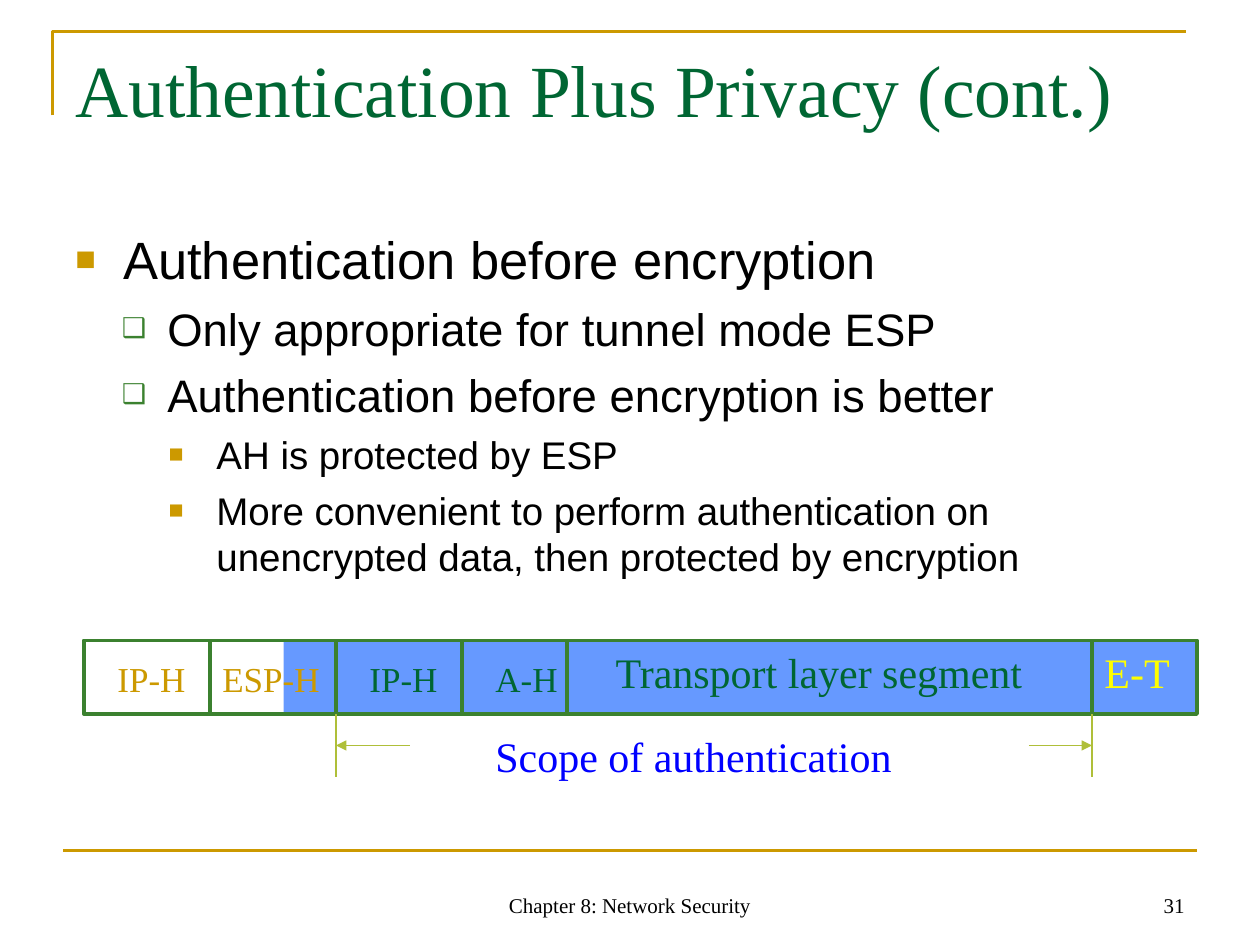
from lxml.etree import SubElement
from pptx import Presentation
from pptx.dml.color import RGBColor
from pptx.enum.shapes import MSO_CONNECTOR, MSO_SHAPE
from pptx.enum.text import MSO_ANCHOR, PP_ALIGN
from pptx.oxml.ns import qn
from pptx.util import Inches, Pt

GOLD = RGBColor(0xCC, 0x99, 0x00)
DARK_GREEN = RGBColor(0x00, 0x66, 0x33)
GREEN = RGBColor(0x3B, 0x81, 0x2F)
LIME = RGBColor(0xAF, 0xBF, 0x39)
SKY = RGBColor(0x66, 0x99, 0xFF)
BLUE = RGBColor(0x00, 0x00, 0xFF)
YELLOW = RGBColor(0xFF, 0xFF, 0x00)
BLACK = RGBColor(0x00, 0x00, 0x00)

COLUMNS, ROWS = 120, 90
SLIDE_WIDTH, SLIDE_HEIGHT = Inches(10), Inches(7.5)
PACKET_ROW, PACKET_ROWS = 61, 7
PACKET_EDGES = [8, 20, 32, 44, 54, 104, 114]
SCOPE_START, SCOPE_END = PACKET_EDGES[2], PACKET_EDGES[5]

LEVELS = [
    {"margin": 0.38, "indent": -0.38, "before": 7.5, "size": 30, "bullet": "■", "color": GOLD, "scale": 65},
    {"margin": 0.73, "indent": -0.36, "before": 6.5, "size": 26, "bullet": "❑", "color": GREEN, "scale": 60},
    {"margin": 1.12, "indent": -0.38, "before": 5.5, "size": 22, "bullet": "■", "color": GOLD, "scale": 65},
]
POINTS = [
    (0, "Authentication before encryption"),
    (1, "Only appropriate for tunnel mode ESP"),
    (1, "Authentication before encryption is better"),
    (2, "AH is protected by ESP"),
    (2, "More convenient to perform authentication on unencrypted data, then protected by encryption"),
]
LABELS = [
    ("IP-H", (10, 62, 9.5, 5.3), 20, GOLD, {}),
    ("ESP-H", (20, 62, 13, 5.3), 20, GOLD, {}),
    ("IP-H", (34, 62, 9.5, 5.3), 20, DARK_GREEN, {}),
    ("A-H", (46, 62, 9, 5.3), 20, DARK_GREEN, {}),
    ("Transport layer segment", (54, 61, 48, 6), 24, DARK_GREEN,
     {"alignment": PP_ALIGN.CENTER, "wrap": True}),
    ("E-T", (104, 61, 9.5, 6), 24, YELLOW, {}),
    ("Scope of authentication", (46, 69, 42, 6), 24, BLUE, {}),
]


def across(columns):
    return round(SLIDE_WIDTH * columns / COLUMNS)


def down(rows):
    return round(SLIDE_HEIGHT * rows / ROWS)


def place(column, row, columns, rows):
    return across(column), down(row), across(columns), down(rows)


def set_attributes(target, values):
    for name, value in values.items():
        setattr(target, name, value)


def set_font(paragraph, name, size, color):
    set_attributes(paragraph.font, {"name": name, "size": Pt(size)})
    paragraph.font.color.rgb = color


def set_line(line, color, width):
    line.color.rgb = color
    line.width = Pt(width)


def add_text(slide, text, area, size, color, alignment=PP_ALIGN.LEFT,
             wrap=False, anchor=MSO_ANCHOR.TOP):
    frame = slide.shapes.add_textbox(*place(*area)).text_frame
    set_attributes(frame, {"word_wrap": wrap, "vertical_anchor": anchor})
    paragraph = frame.paragraphs[0]
    set_attributes(paragraph, {"text": text, "alignment": alignment})
    set_font(paragraph, "Times New Roman", size, color)


def add_bullet(paragraph, level):
    properties = paragraph._p.get_or_add_pPr()
    properties.set("marL", str(Inches(level["margin"])))
    properties.set("indent", str(Inches(level["indent"])))
    color = SubElement(properties, qn("a:buClr"))
    SubElement(color, qn("a:srgbClr"), val=str(level["color"]))
    SubElement(properties, qn("a:buSzPct"), val=str(level["scale"] * 1000))
    SubElement(properties, qn("a:buFont"), typeface="Arial")
    SubElement(properties, qn("a:buChar"), char=level["bullet"])


def add_points(slide):
    frame = slide.shapes.add_textbox(*place(6, 21, 108, 59.4)).text_frame
    frame.word_wrap = True
    for index, (depth, text) in enumerate(POINTS):
        paragraph = frame.add_paragraph() if index else frame.paragraphs[0]
        level = LEVELS[depth]
        set_attributes(paragraph, {"text": text, "level": depth})
        add_bullet(paragraph, level)
        if index:
            paragraph.space_before = Pt(level["before"])
        set_font(paragraph, "Arial", level["size"], BLACK)


def add_box(slide, left, right, fill=None):
    area = place(left, PACKET_ROW, right - left, PACKET_ROWS)
    shape = slide.shapes.add_shape(MSO_SHAPE.RECTANGLE, *area)
    shape.shadow.inherit = False
    if fill:
        shape.fill.solid()
        shape.fill.fore_color.rgb = fill
        shape.line.fill.background()
    else:
        shape.fill.background()
        set_line(shape.line, GREEN, 2.25)


def add_line(slide, start, end, color, width, arrow=False):
    connector = slide.shapes.add_connector(
        MSO_CONNECTOR.STRAIGHT, across(start[0]), down(start[1]), across(end[0]), down(end[1]))
    set_line(connector.line, color, width)
    if arrow:
        SubElement(connector.line._get_or_add_ln(), qn("a:tailEnd"), type="triangle")
    SubElement(connector._element.spPr, qn("a:effectLst"))


def add_corner(slide):
    builder = slide.shapes.build_freeform(across(5), down(11))
    builder.add_line_segments([(across(5), down(3)), (across(113), down(3))], close=False)
    shape = builder.convert_to_shape()
    shape.shadow.inherit = False
    shape.fill.background()
    set_line(shape.line, GOLD, 1.5)


def add_packet(slide):
    add_box(slide, 27, PACKET_EDGES[-1], SKY)
    for left, right in zip(PACKET_EDGES, PACKET_EDGES[1:]):
        add_box(slide, left, right)
    for edge, inner in ((SCOPE_START, SCOPE_START + 7), (SCOPE_END, SCOPE_END - 6)):
        add_line(slide, (edge, 68), (edge, 74), LIME, 1)
        add_line(slide, (inner, 71), (edge, 71), LIME, 1, arrow=True)
    for text, area, size, color, options in LABELS:
        add_text(slide, text, area, size, color, **options)


def add_footer(slide):
    add_line(slide, (6, 81), (114, 81), GOLD, 1.5)
    for text, area, alignment in (
        ("Chapter 8: Network Security", (41, 82, 38, 6), PP_ALIGN.CENTER),
        ("31", (86, 82, 28, 6), PP_ALIGN.RIGHT),
    ):
        add_text(slide, text, area, 12, BLACK, alignment, True, MSO_ANCHOR.BOTTOM)


def main():
    presentation = Presentation()
    set_attributes(presentation, {"slide_width": SLIDE_WIDTH, "slide_height": SLIDE_HEIGHT})
    slide = presentation.slides.add_slide(presentation.slide_layouts[6])
    add_corner(slide)
    add_text(slide, "Authentication Plus Privacy (cont.)", (6, 3.6, 108, 15), 42,
             DARK_GREEN, wrap=True)
    add_points(slide)
    add_packet(slide)
    add_footer(slide)
    presentation.save("out.pptx")


if __name__ == "__main__":
    main()
